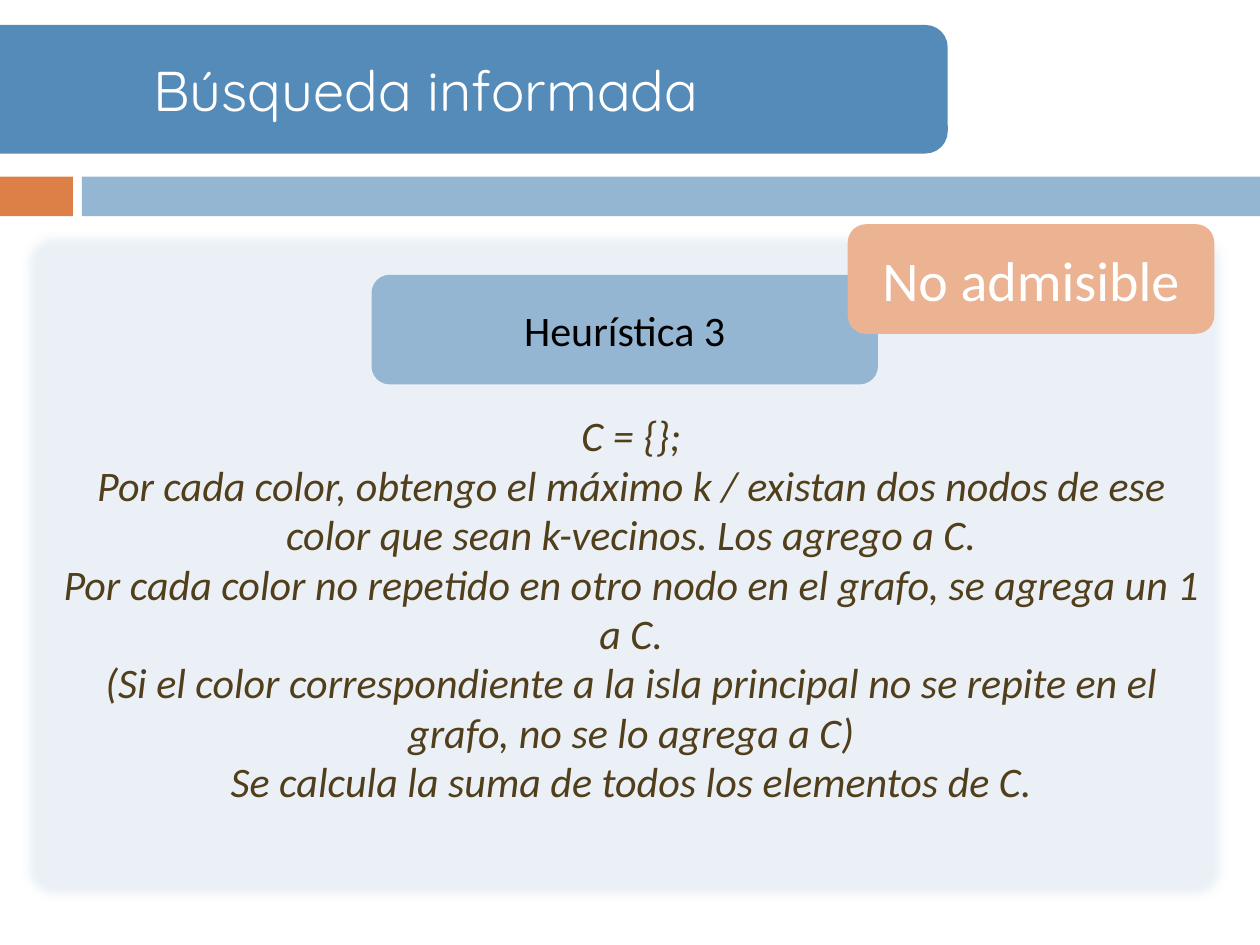
from dataclasses import dataclass
from typing import Optional

from lxml import etree
from pptx import Presentation
from pptx import util as u
from pptx.dml.color import RGBColor
from pptx.enum import shapes, text
from pptx.oxml import ns


@dataclass(frozen=True)
class Theme:
    title: str = "558BB8"
    blue: str = "94B6D2"
    orange: str = "DD8047"
    peach: str = "EBB391"
    pale: str = "EAF0F6"
    brown: str = "513E1B"
    white: str = "FFFFFF"
    black: str = "000000"
    head: str = "Quicksand"
    body: str = "Calibri"
    large: int = 32
    small: int = 24


@dataclass(frozen=True)
class Box:
    """A filled shape; lengths in centimetres."""
    left: float
    top: float
    width: float
    height: float
    fill: str
    round: bool = True
    bend: Optional[float] = None
    line: Optional[str] = None


T = Theme()
BARS = [
    Box(0, 3.56, 1.47, 0.8, T.orange, round=False),
    Box(1.65, 3.56, 23.75, 0.8, T.blue, round=False),
]
TITLE = Box(-1.9, 0.53, 20.98, 2.54, T.title, line=T.title)
PANEL = Box(0.43, 4.65, 24.33, 13.54, T.pale, bend=0.041)
LABEL = Box(7.49, 5.54, 10.21, 2.21, T.blue)
BADGE = Box(17.09, 4.52, 7.39, 2.21, T.peach)
RULES = [
    "C = {};",
    "Por cada color, obtengo el máximo k / existan dos nodos de ese "
    "color que sean k-vecinos. Los agrego a C.",
    "Por cada color no repetido en otro nodo en el grafo, se agrega un 1 a C.",
    "(Si el color correspondiente a la isla principal no se repite en el "
    "grafo, no se lo agrega a C)",
    "Se calcula la suma de todos los elementos de C.",
]


def draw(slide, box: Box):
    kind = shapes.MSO_SHAPE.ROUNDED_RECTANGLE if box.round else shapes.MSO_SHAPE.RECTANGLE
    shape = slide.shapes.add_shape(
        kind, u.Cm(box.left), u.Cm(box.top), u.Cm(box.width), u.Cm(box.height))
    shape.shadow.inherit = False
    shape.fill.solid()
    shape.fill.fore_color.rgb = RGBColor.from_string(box.fill)
    if box.bend is not None:
        shape.adjustments[0] = box.bend
    if box.line:
        shape.line.color.rgb = RGBColor.from_string(box.line)
        shape.line.width = u.Pt(1.5)
    else:
        shape.line.fill.background()
    return shape


def soften(shape, size: float) -> None:
    """Blur the edge of a shape by a size in centimetres."""
    effects = shape.element.spPr.find(ns.qn("a:effectLst"))
    etree.SubElement(effects, ns.qn("a:softEdge"), rad=str(u.Cm(size)))


def write(shape, *lines: str, size: int, color: str, font: str = T.body,
          italic: bool = False, anchor=text.MSO_ANCHOR.MIDDLE,
          inset: tuple = (0.25, 0.13, 0.25, 0.13),
          pitch: Optional[float] = None) -> None:
    """Set centred paragraphs; inset is left, top, right, bottom in cm."""
    frame = shape.text_frame
    frame.word_wrap = True
    frame.vertical_anchor = anchor
    (frame.margin_left, frame.margin_top,
     frame.margin_right, frame.margin_bottom) = map(u.Cm, inset)
    for i, line in enumerate(lines):
        para = frame.paragraphs[0] if i == 0 else frame.add_paragraph()
        para.alignment = text.PP_ALIGN.CENTER
        if pitch:
            para.line_spacing = pitch
        run = para.add_run()
        run.text = line
        run.font.size = u.Pt(size)
        run.font.name = font
        run.font.italic = italic
        run.font.color.rgb = RGBColor.from_string(color)


def main() -> None:
    deck = Presentation()
    deck.slide_width, deck.slide_height = u.Cm(25.4), u.Cm(19.05)
    slide = deck.slides.add_slide(deck.slide_layouts[6])

    for bar in BARS:
        draw(slide, bar)
    write(draw(slide, TITLE), "Búsqueda informada",
          size=T.large, color=T.white, font=T.head)

    panel = draw(slide, PANEL)
    soften(panel, 0.18)
    write(panel, *RULES, size=T.small, color=T.brown, italic=True,
          anchor=text.MSO_ANCHOR.TOP, inset=(0.51, 3.5, 0.25, 0.13), pitch=0.98)

    write(draw(slide, LABEL), "Heurística 3", size=T.small, color=T.black)
    write(draw(slide, BADGE), "No admisible", size=T.large, color=T.white)
    deck.save("out.pptx")


if __name__ == "__main__":
    main()
